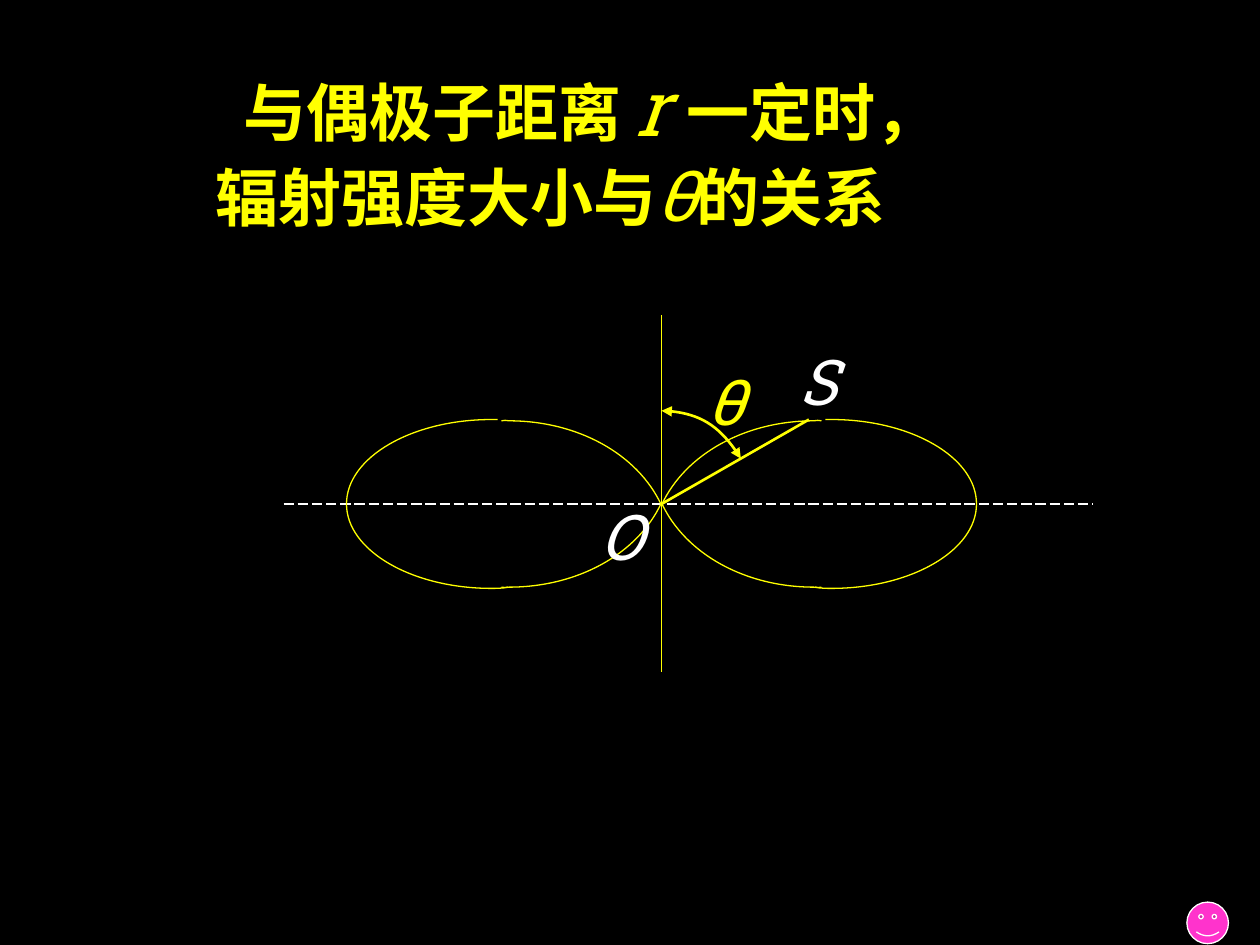
import lxml.etree
import pptx
import pptx.dml.color
import pptx.enum.dml
import pptx.enum.shapes
import pptx.enum.text
import pptx.oxml.ns
import pptx.util

Inches = pptx.util.Inches
Pt = pptx.util.Pt
qn = pptx.oxml.ns.qn

FONT = "Roboto Slab"
COLORS = {"back": "000000", "curve": "FFFF00", "plain": "FFFFFF", "smiley": "FF33CC"}
CENTER_X, CENTER_Y = 5.25, 4

# Each curve: a start point, then two control points and an end point per piece.
OUTER_LOBE = [(6.55, 3.33), (6.56, 3.33), (6.58, 3.33), (6.6, 3.33),
              (7.23, 3.33), (7.75, 3.63), (7.75, 4),
              (7.75, 4.37), (7.23, 4.67), (6.6, 4.67),
              (6.56, 4.67), (6.51, 4.67), (6.47, 4.66)]
INNER_LOBE = [(6.52, 3.34), (6.5, 3.34), (6.48, 3.33), (6.46, 3.34),
              (5.92, 3.34), (5.44, 3.6), (5.25, 4.01)]
ANGLE_ARC = [(5.25, 3.26), (5.51, 3.26), (5.74, 3.4), (5.88, 3.64)]


def rgb(name):
    return pptx.dml.color.RGBColor.from_string(COLORS[name])


def style_line(line, color, width):
    line.color.rgb = rgb(color)
    line.width = Pt(width)


def add_line(group, start, end, color, width=0.75):
    line = group.shapes.add_connector(
        pptx.enum.shapes.MSO_CONNECTOR.STRAIGHT, *map(Inches, start + end))
    style_line(line.line, color, width)
    lxml.etree.SubElement(line._element.spPr, qn("a:effectLst"))
    return line


def bend_segments(shape):
    """Turn every three straight segments of the outline into one Bezier piece."""
    outline = next(shape._element.iter(qn("a:path")))
    segments = outline.findall(qn("a:lnTo"))
    for first in range(0, len(segments), 3):
        piece = lxml.etree.SubElement(outline, qn("a:cubicBezTo"))
        for segment in segments[first:first + 3]:
            piece.append(segment[0])
            outline.remove(segment)


def add_curve(group, points, mirror_x=1, mirror_y=1, width=0.75):
    """Draw a Bezier curve; a mirror of -1 flips it about the origin O."""
    places = [(Inches(CENTER_X + mirror_x * (x - CENTER_X)),
               Inches(CENTER_Y + mirror_y * (y - CENTER_Y))) for x, y in points]
    builder = group.shapes.build_freeform(*places[0])
    builder.add_line_segments(places[1:], close=False)
    curve = builder.convert_to_shape()
    bend_segments(curve)
    curve.shadow.inherit = False
    curve.fill.background()
    style_line(curve.line, "curve", width)
    return curve


def add_arrowheads(shape):
    outline = shape.line._get_or_add_ln()
    for end in ("a:headEnd", "a:tailEnd"):
        lxml.etree.SubElement(outline, qn(end), type="triangle")


def add_label(group, text, left, top, width, color):
    box = group.shapes.add_textbox(*map(Inches, (left, top, width, 0.7)))
    box.text_frame.word_wrap = False
    box.text_frame.auto_size = pptx.enum.text.MSO_AUTO_SIZE.SHAPE_TO_FIT_TEXT
    paragraph = box.text_frame.paragraphs[0]
    paragraph.text = text
    font = paragraph.font
    font.name, font.size, font.italic = FONT, Pt(36), True
    font.color.rgb = rgb(color)


def add_title(page):
    title = page.shapes.title
    title.left, title.top, title.width, title.height = map(
        Inches, (1.61, 0.42, 6.27, 1.5))
    frame = title.text_frame
    frame.word_wrap = True
    frame.auto_size = pptx.enum.text.MSO_AUTO_SIZE.NONE
    frame.vertical_anchor = pptx.enum.text.MSO_ANCHOR.TOP
    lines = [
        (0.22, ("与偶极子距离 ", "r ", "一定时，"), 44),
        (0, ("辐射强度大小与", "θ", "的关系"), 40),
    ]
    for index, (indent, parts, symbol_size) in enumerate(lines):
        paragraph = frame.add_paragraph() if index else frame.paragraphs[0]
        paragraph.alignment = pptx.enum.text.PP_ALIGN.LEFT
        paragraph._p.get_or_add_pPr().set("indent", str(Inches(indent)))
        paragraph.font.name = FONT
        paragraph.font.color.rgb = rgb("curve")
        for position, text in enumerate(parts):
            is_symbol = position == 1
            span = paragraph.add_run()
            span.text = text
            span.font.size = Pt(symbol_size if is_symbol else 36)
            span.font.bold = not is_symbol
            span.font.italic = is_symbol


def add_radiation_diagram(page):
    group = page.shapes.add_group_shape()
    axis = add_line(group, (2.25, CENTER_Y), (8.67, CENTER_Y), "plain")
    axis.line.dash_style = pptx.enum.dml.MSO_LINE.LONG_DASH
    for side in (-1, 1):
        add_curve(group, OUTER_LOBE, mirror_x=side)
        for half in (1, -1):
            add_curve(group, INNER_LOBE, mirror_x=side, mirror_y=half)
    add_line(group, (CENTER_X, 2.5), (CENTER_X, 5.33), "curve")
    add_arrowheads(add_curve(group, ANGLE_ARC, width=1.5))
    add_line(group, (CENTER_X, CENTER_Y), (6.42, 3.33), "curve", 1.5)
    add_label(group, "O", 4.67, 3.9, 0.58, "plain")
    add_label(group, "S", 6.25, 2.67, 0.5, "plain")
    add_label(group, "θ", 5.52, 2.83, 0.49, "curve")


def add_smiley(page):
    smiley = page.shapes.add_shape(
        pptx.enum.shapes.MSO_SHAPE.SMILEY_FACE,
        *map(Inches, (9.42, 7.16, 0.33, 0.33)))
    smiley.shadow.inherit = False
    smiley.fill.solid()
    smiley.fill.fore_color.rgb = rgb("smiley")
    style_line(smiley.line, "plain", 0.75)


def main():
    deck = pptx.Presentation()
    deck.slide_width, deck.slide_height = Inches(10), Inches(7.5)
    page = deck.slides.add_slide(deck.slide_layouts.get_by_name("Title Only"))
    page.background.fill.solid()
    page.background.fill.fore_color.rgb = rgb("back")
    add_title(page)
    add_radiation_diagram(page)
    add_smiley(page)
    deck.save("out.pptx")


if __name__ == "__main__":
    main()
